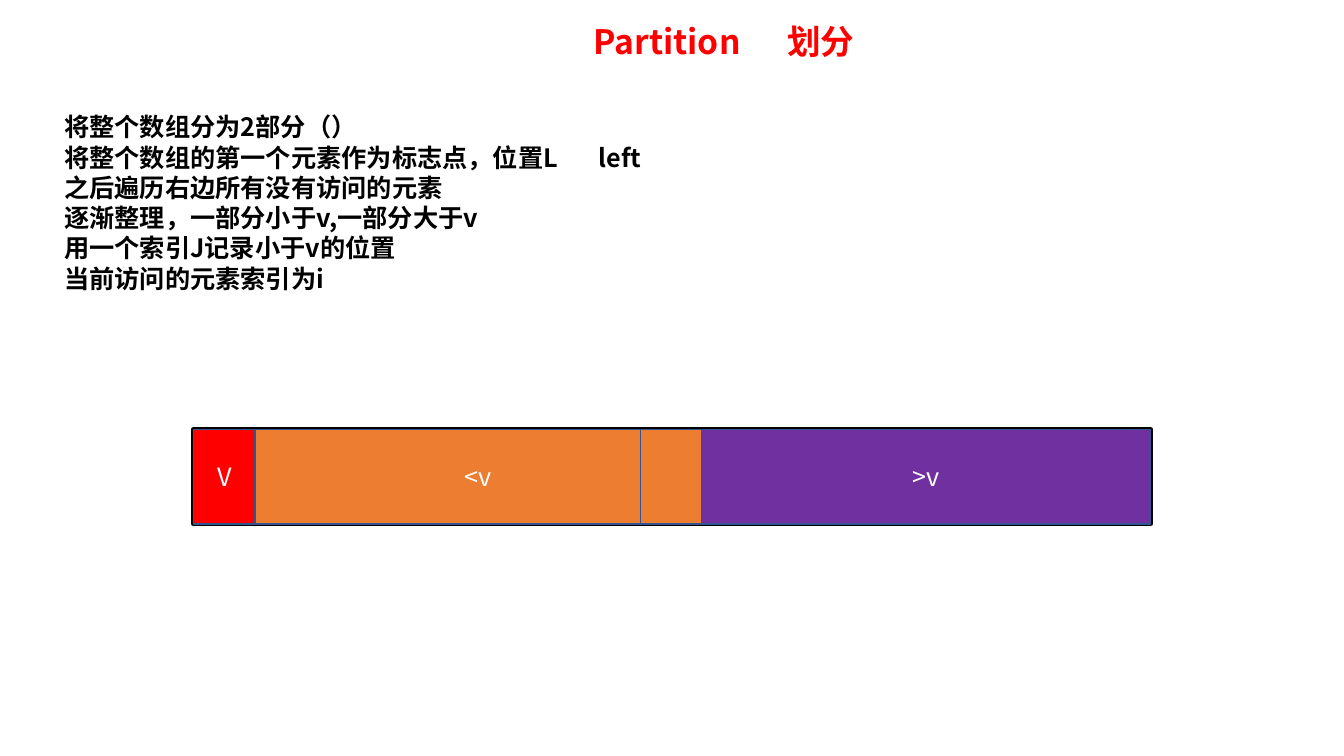
from dataclasses import dataclass
from lxml import etree
from pptx import Presentation
from pptx.dml.color import RGBColor
from pptx.enum.shapes import MSO_SHAPE
from pptx.enum.text import MSO_ANCHOR, PP_ALIGN
from pptx.oxml.ns import qn
from pptx.util import Inches, Pt

RECTANGLE = MSO_SHAPE.RECTANGLE
MIDDLE = MSO_ANCHOR.MIDDLE
LEFT, CENTER = PP_ALIGN.LEFT, PP_ALIGN.CENTER


@dataclass(frozen=True)
class Theme:
    """Colours, font and type sizes of the deck."""
    font: str = "Noto Sans CJK SC"
    title_size: int = 24
    body_size: int = 18
    leading: float = 1.2
    white: str = "FFFFFF"
    black: str = "000000"
    red: str = "FF0000"
    orange: str = "ED7D31"
    purple: str = "7030A0"
    outline: str = "325491"


THEME = Theme()


def write_text(frame, lines, size=THEME.body_size, color=THEME.black, bold=False,
               align=LEFT, tab=None):
    """Write one paragraph per line, with an optional tab stop in inches."""
    frame.word_wrap = True
    for index, line in enumerate(lines):
        para = frame.add_paragraph() if index else frame.paragraphs[0]
        para.alignment = align
        para.line_spacing = Pt(size * THEME.leading)
        if tab and "\t" in line:
            stops = etree.SubElement(para._p.get_or_add_pPr(), qn("a:tabLst"))
            etree.SubElement(stops, qn("a:tab"), pos=str(Inches(tab)), algn="l")
        span = para.add_run()
        span.text = line
        span.font.name = THEME.font
        span.font.size = Pt(size)
        span.font.bold = bold
        span.font.color.rgb = RGBColor.from_string(color)
        east_asian = etree.SubElement(span.font._element, qn("a:ea"))
        east_asian.set("typeface", THEME.font)


def add_text(page, box, lines, **style):
    """Add a text box filling the given box."""
    frame = page.shapes.add_textbox(*map(Inches, box)).text_frame
    write_text(frame, lines, **style)


def add_block(page, box, fill, line=THEME.outline, width=1, label=None):
    """Add a filled rectangle with an optional centred label."""
    block = page.shapes.add_shape(RECTANGLE, *map(Inches, box))
    block.shadow.inherit = False
    block.fill.solid()
    block.fill.fore_color.rgb = RGBColor.from_string(fill)
    block.line.color.rgb = RGBColor.from_string(line)
    block.line.width = Pt(width)
    if label:
        block.text_frame.vertical_anchor = MIDDLE
        write_text(block.text_frame, [label], color=THEME.white, align=CENTER)


def add_title(page, box):
    """Place the slide title."""
    add_text(page, box, ["Partition\t划分"], size=THEME.title_size,
             color=THEME.red, bold=True, tab=1.92)


def add_steps(page, box):
    """Place the explanation of the partition steps."""
    steps = [
        "将整个数组分为2部分（）",
        "将整个数组的第一个元素作为标志点，位置L\tleft",
        "之后遍历右边所有没有访问的元素",
        "逐渐整理，一部分小于v,一部分大于v",
        "用一个索引J记录小于v的位置",
        "当前访问的元素索引为i",
    ]
    add_text(page, box, steps, bold=True, tab=5.3)


def add_array(page, box):
    """Place the array bar: pivot, smaller part with its last cell, larger part."""
    left, top, width, height = box
    cell, smaller = 0.61, 4.43
    split = cell + smaller
    add_block(page, box, THEME.white, line=THEME.black, width=3)
    parts = [
        (cell, smaller, THEME.orange, "<v"),
        (split, width - split, THEME.purple, ">v"),
        (split - cell, cell, THEME.orange, None),
        (0, cell, THEME.red, "V"),
    ]
    for offset, span_width, fill, label in parts:
        add_block(page, (left + offset, top, span_width, height), fill, label=label)


def main():
    """Build the partition slide and save the deck."""
    deck = Presentation()
    deck.slide_width, deck.slide_height = Inches(13.33), Inches(7.5)
    page = deck.slides.add_slide(deck.slide_layouts[6])
    add_array(page, (1.92, 4.26, 9.49, 0.94))
    add_steps(page, (0.54, 1.06, 6.4, 1.92))
    add_title(page, (5.79, 0.16, 2.92, 0.5))
    deck.save("out.pptx")


main()
